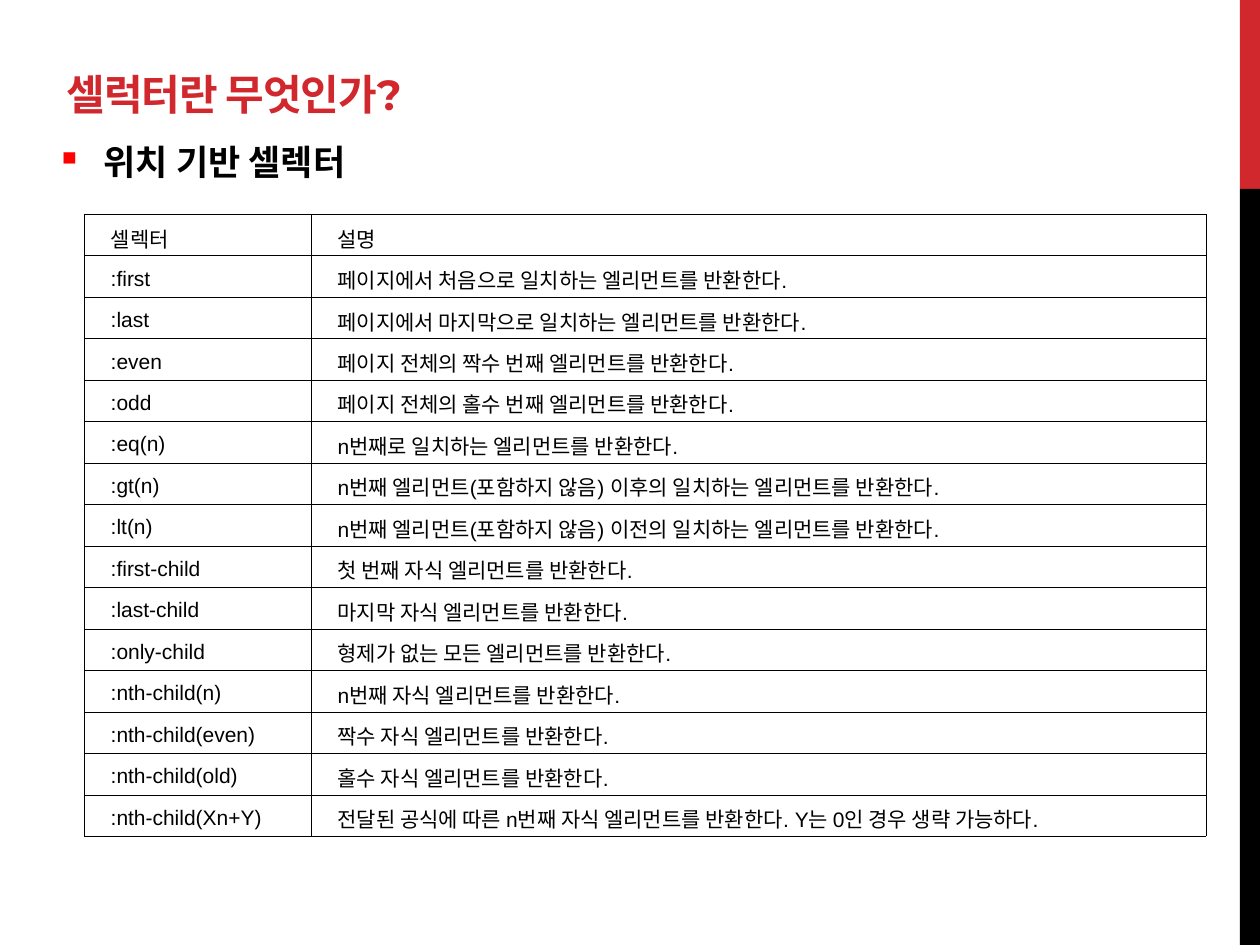
from lxml import etree
from pptx import Presentation
from pptx.dml.color import RGBColor
from pptx.enum.shapes import MSO_SHAPE
from pptx.enum.text import MSO_ANCHOR, PP_ALIGN
from pptx.oxml.ns import qn
from pptx.util import Pt

RECTANGLE = MSO_SHAPE.RECTANGLE
TOP, MIDDLE, BOTTOM = MSO_ANCHOR.TOP, MSO_ANCHOR.MIDDLE, MSO_ANCHOR.BOTTOM
LEFT, JUSTIFY = PP_ALIGN.LEFT, PP_ALIGN.JUSTIFY

RED = RGBColor(0xD1, 0x28, 0x2E)
BULLET_RED = RGBColor(0xFF, 0x00, 0x00)
BLACK = RGBColor(0x00, 0x00, 0x00)

COLUMN_WIDTHS = (129.6, 511.2)
ROW_HEIGHT = 23.7
SELECTORS = [
    ("셀렉터", "설명"),
    (":first", "페이지에서 처음으로 일치하는 엘리먼트를 반환한다."),
    (":last", "페이지에서 마지막으로 일치하는 엘리먼트를 반환한다."),
    (":even", "페이지 전체의 짝수 번째 엘리먼트를 반환한다."),
    (":odd", "페이지 전체의 홀수 번째 엘리먼트를 반환한다."),
    (":eq(n)", "n번째로 일치하는 엘리먼트를 반환한다."),
    (":gt(n)", "n번째 엘리먼트(포함하지 않음) 이후의 일치하는 엘리먼트를 반환한다."),
    (":lt(n)", "n번째 엘리먼트(포함하지 않음) 이전의 일치하는 엘리먼트를 반환한다."),
    (":first-child", "첫 번째 자식 엘리먼트를 반환한다."),
    (":last-child", "마지막 자식 엘리먼트를 반환한다."),
    (":only-child", "형제가 없는 모든 엘리먼트를 반환한다."),
    (":nth-child(n)", "n번째 자식 엘리먼트를 반환한다."),
    (":nth-child(even)", "짝수 자식 엘리먼트를 반환한다."),
    (":nth-child(old)", "홀수 자식 엘리먼트를 반환한다."),
    (":nth-child(Xn+Y)", "전달된 공식에 따른 n번째 자식 엘리먼트를 반환한다. Y는 0인 경우 생략 가능하다."),
]


def write_text(frame, text, *, size, font="Arial", color=BLACK, bold=False,
               align=LEFT, line_spacing=None, margin=0, indent=0,
               bullet=None, tracking=None):
    """Write one formatted paragraph into a text frame."""
    para = frame.paragraphs[0]
    para.alignment = align
    if line_spacing:
        para.line_spacing = line_spacing
    properties = para._p.get_or_add_pPr()
    properties.set("marL", str(Pt(margin)))
    properties.set("indent", str(Pt(indent)))
    if bullet:
        bullet_color = etree.SubElement(properties, qn("a:buClr"))
        etree.SubElement(bullet_color, qn("a:srgbClr"), val=str(BULLET_RED))
        etree.SubElement(properties, qn("a:buChar"), char=bullet)
    span = para.add_run()
    span.text = text
    span.font.name = font
    span.font.size = Pt(size)
    span.font.bold = bold
    span.font.color.rgb = color
    if tracking:
        span._r.get_or_add_rPr().set("spc", str(round(tracking * 100)))


def add_text(page, text, left, top, width, height, *, anchor=TOP, **text_format):
    """Add a wrapped text box."""
    box = page.shapes.add_textbox(Pt(left), Pt(top), Pt(width), Pt(height))
    box.text_frame.word_wrap = True
    box.text_frame.vertical_anchor = anchor
    write_text(box.text_frame, text, **text_format)


def add_band(page, top, height, color):
    """Add one part of the stripe along the right edge."""
    band = page.shapes.add_shape(RECTANGLE, Pt(708.5), Pt(top), Pt(11.5), Pt(height))
    band.shadow.inherit = False
    band.fill.solid()
    band.fill.fore_color.rgb = color
    band.line.fill.background()


def add_borders(cell):
    """Draw a thin black line on every side of a cell."""
    properties = cell._tc.get_or_add_tcPr()
    for position, side in enumerate(("lnL", "lnR", "lnT", "lnB")):
        line = etree.Element(qn(f"a:{side}"), w=str(Pt(0.28)))
        fill = etree.SubElement(line, qn("a:solidFill"))
        etree.SubElement(fill, qn("a:srgbClr"), val=str(BLACK))
        properties.insert(position, line)


def fill_cell(cell, text):
    """Format a selector table cell and write its text."""
    cell.fill.background()
    add_borders(cell)
    cell.vertical_anchor = MIDDLE
    cell.margin_left = cell.margin_right = Pt(5.1)
    cell.margin_top = cell.margin_bottom = Pt(1.4)
    write_text(cell.text_frame, text, size=12, align=JUSTIFY,
               line_spacing=1.2, indent=10)


def add_selector_table(page, left, top):
    """Add the table of selectors and their descriptions."""
    frame = page.shapes.add_table(
        len(SELECTORS), len(COLUMN_WIDTHS), Pt(left), Pt(top),
        Pt(sum(COLUMN_WIDTHS)), Pt(ROW_HEIGHT * len(SELECTORS)))
    table = frame.table
    table.first_row = table.horz_banding = False
    for column, width in zip(table.columns, COLUMN_WIDTHS):
        column.width = Pt(width)
    for row, texts in zip(table.rows, SELECTORS):
        row.height = Pt(ROW_HEIGHT)
        for cell, text in zip(row.cells, texts):
            fill_cell(cell, text)


def main():
    """Build and save the slide."""
    deck = Presentation()
    deck.slide_width, deck.slide_height = Pt(720), Pt(540)
    page = deck.slides.add_slide(deck.slide_layouts[6])
    add_band(page, 0, 108, RED)
    add_band(page, 108, 432, BLACK)
    add_text(page, "셀럭터란 무엇인가?", 31, 26, 669.6, 45.4, anchor=BOTTOM,
             size=24, font="Montserrat", color=RED, bold=True, tracking=-0.6)
    add_text(page, "위치 기반 셀렉터", 25.2, 77, 652.3, 85, size=20, bold=True,
             margin=27, indent=-27, bullet="▪")
    add_selector_table(page, 48.2, 122.4)
    deck.save("out.pptx")


if __name__ == "__main__":
    main()
